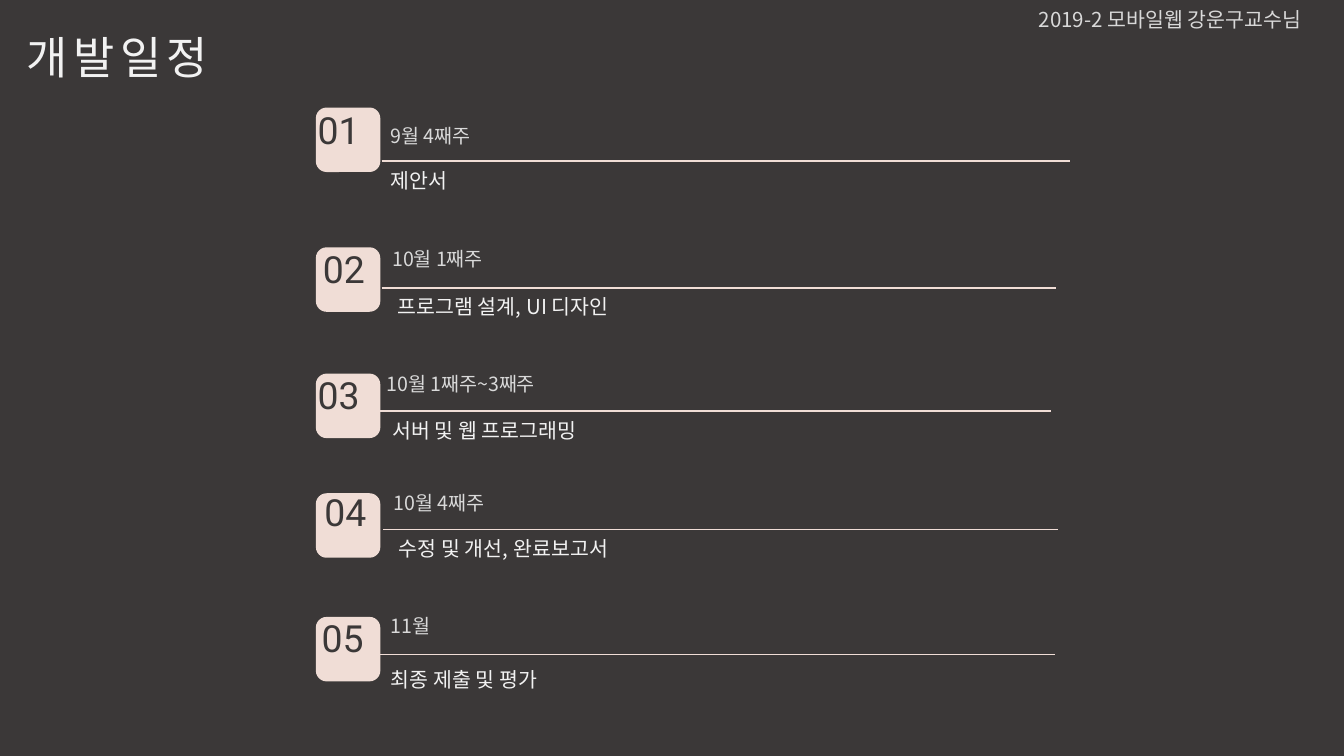
from dataclasses import dataclass

import pptx
import pptx.dml.color
import pptx.enum.shapes
import pptx.enum.text
import pptx.oxml.ns
import pptx.util
from lxml import etree

Inches = pptx.util.Inches
qn = pptx.oxml.ns.qn


@dataclass(frozen=True)
class Theme:
    background: str = "3B3838"
    accent: str = "F0DDD6"
    bright: str = "F2F2F2"
    muted: str = "D9D9D9"
    outline: str = "595959"
    korean: str = "Noto Sans CJK KR"
    digits: str = "Roboto"
    title_size: float = 24
    number_size: float = 20
    body_size: float = 11
    date_size: float = 10.5


@dataclass(frozen=True)
class TextStyle:
    font: str
    size: float
    color: str
    outlined: bool = True
    centered: bool = False
    wrap: bool = True
    spacing: int = 0  # hundredths of a point


@dataclass(frozen=True)
class Step:
    number: str
    date: str
    task: str
    tile_top: float
    number_at: tuple[float, float]
    date_at: tuple[float, float]
    task_at: tuple[float, float]
    rule_at: tuple[float, float]
    rule_width: float = 5.02


THEME = Theme()
HEADER = TextStyle(THEME.korean, THEME.body_size, THEME.muted, outlined=False, wrap=False)
TITLE = TextStyle(THEME.korean, THEME.title_size, THEME.bright,
                  outlined=False, wrap=False, spacing=300)
NUMBER = TextStyle(THEME.digits, THEME.number_size, THEME.background, centered=True)
DATE = TextStyle(THEME.korean, THEME.date_size, THEME.muted)
TASK = TextStyle(THEME.korean, THEME.body_size, THEME.bright)

TILE_LEFT, TILE_SIZE = 2.35, 0.48
STEPS = [
    Step("01", "9월 4째주", "제안서",
         0.8, (2.09, 0.75), (2.81, 0.87), (2.81, 1.2), (2.84, 1.2), 5.12),
    Step("02", "10월 1째주", "프로그램 설계, UI 디자인",
         1.84, (2.13, 1.78), (2.82, 1.79), (2.86, 2.14), (2.84, 2.14)),
    Step("03", "10월 1째주~3째주", "서버 및 웹 프로그래밍",
         2.78, (2.09, 2.72), (2.78, 2.72), (2.82, 3.06), (2.8, 3.06)),
    Step("04", "10월 4째주", "수정 및 개선, 완료보고서",
         3.67, (2.14, 3.59), (2.83, 3.6), (2.87, 3.94), (2.85, 3.94)),
    Step("05", "11월", "최종 제출 및 평가",
         4.59, (2.12, 4.53), (2.81, 4.52), (2.81, 4.91), (2.83, 4.87)),
]


def rgb(color: str) -> pptx.dml.color.RGBColor:
    return pptx.dml.color.RGBColor.from_string(color)


def add_outline(properties) -> None:
    """Give a run a faint outline of 10% opacity."""
    line = etree.Element(qn("a:ln"), w=str(pptx.util.Pt(0.75)))
    fill = etree.SubElement(line, qn("a:solidFill"))
    color = etree.SubElement(fill, qn("a:srgbClr"), val=THEME.outline)
    etree.SubElement(color, qn("a:alpha"), val="10000")
    properties.insert(0, line)


def add_text(shapes, text: str, at: tuple[float, float],
             size: tuple[float, float], style: TextStyle) -> None:
    box = shapes.add_textbox(*(Inches(length) for length in at + size))
    frame = box.text_frame
    frame.word_wrap = style.wrap
    frame.auto_size = pptx.enum.text.MSO_AUTO_SIZE.SHAPE_TO_FIT_TEXT
    para = frame.paragraphs[0]
    if style.centered:
        para.alignment = pptx.enum.text.PP_ALIGN.CENTER
    span = para.add_run()
    span.text = text
    span.font.name = style.font
    span.font.size = pptx.util.Pt(style.size)
    span.font.color.rgb = rgb(style.color)
    # East Asian font, letter spacing and outline
    properties = span.font._element
    properties.find(qn("a:latin")).addnext(
        etree.Element(qn("a:ea"), typeface=style.font))
    if style.spacing:
        properties.set("spc", str(style.spacing))
    if style.outlined:
        add_outline(properties)


def add_tile(shapes, top: float) -> None:
    tile = shapes.add_shape(
        pptx.enum.shapes.MSO_SHAPE.ROUNDED_RECTANGLE,
        Inches(TILE_LEFT), Inches(top), Inches(TILE_SIZE), Inches(TILE_SIZE))
    tile.shadow.inherit = False
    tile.fill.solid()
    tile.fill.fore_color.rgb = rgb(THEME.accent)
    tile.line.fill.background()


def add_rule(shapes, at: tuple[float, float], width: float) -> None:
    left, top = at
    rule = shapes.add_connector(
        pptx.enum.shapes.MSO_CONNECTOR.STRAIGHT,
        Inches(left), Inches(top), Inches(left + width), Inches(top))
    rule.line.color.rgb = rgb(THEME.accent)
    rule.line.width = pptx.util.Pt(1)
    etree.SubElement(rule._element.spPr, qn("a:effectLst"))


def add_step(page, step: Step) -> None:
    shapes = page.shapes.add_group_shape().shapes
    add_tile(shapes, step.tile_top)
    add_text(shapes, step.number, step.number_at, (0.86, 0.44), NUMBER)
    add_text(shapes, step.date, step.date_at, (5.08, 0.29), DATE)
    add_text(shapes, step.task, step.task_at, (5.13, 0.29), TASK)
    add_rule(shapes, step.rule_at, step.rule_width)


def main() -> None:
    # Widescreen page, 16:9
    deck = pptx.Presentation()
    deck.slide_width = Inches(10)
    deck.slide_height = Inches(10 * 9 / 16)
    page = deck.slides.add_slide(deck.slide_layouts[6])
    page.background.fill.solid()
    page.background.fill.fore_color.rgb = rgb(THEME.background)

    # Course line and title
    add_text(page.shapes, "2019-2 모바일웹 강운구교수님", (7.63, 0), (2.34, 0.29), HEADER)
    add_text(page.shapes, "개발일정", (0.1, 0.17), (1.72, 0.5), TITLE)

    # Schedule
    for step in STEPS:
        add_step(page, step)
    deck.save("out.pptx")


if __name__ == "__main__":
    main()
